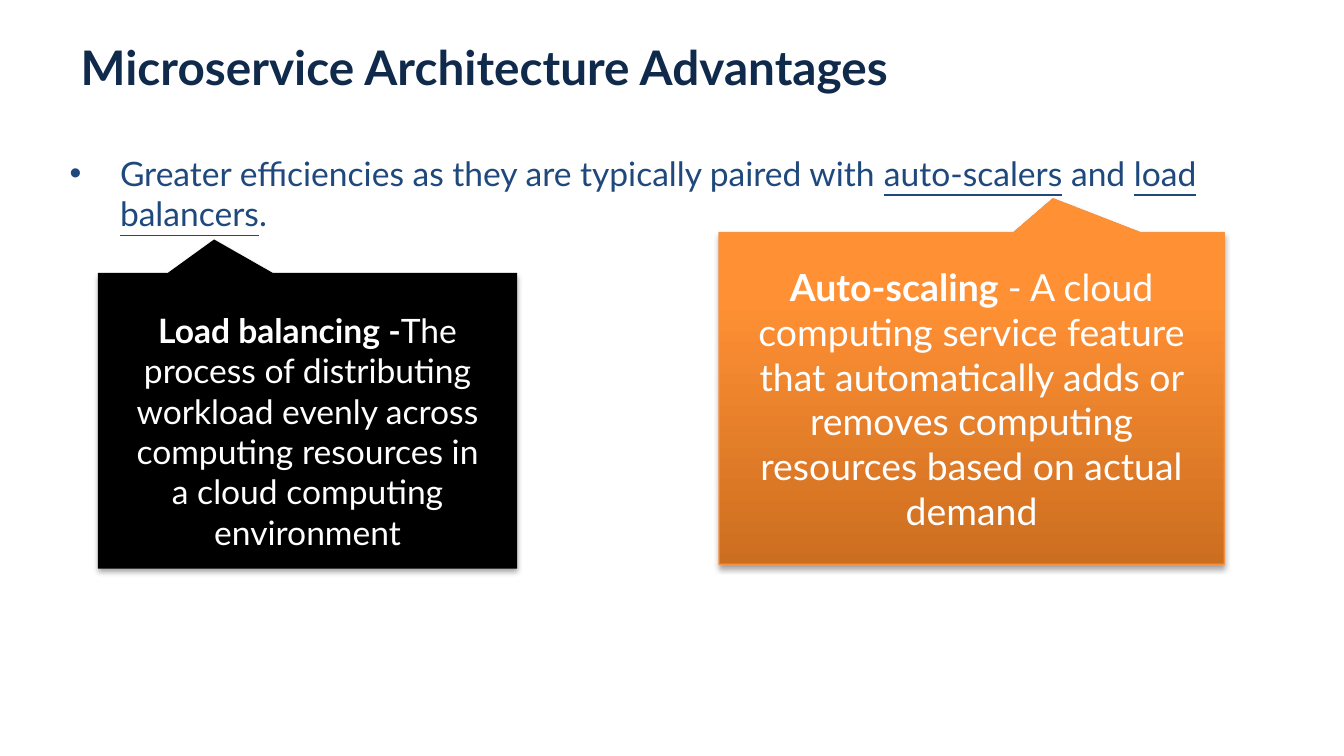
from lxml import etree
from pptx import Presentation
from pptx.dml.color import RGBColor
from pptx.enum import shapes, text
from pptx.oxml import parse_xml
from pptx.oxml.ns import nsdecls, qn
from pptx.util import Pt

FONT = "Lato"
COLORS = {"title": "102A4C", "body": "1F497D", "text": "FFFFFF",
          "black": "000000", "orange_line": "F69240"}
ORANGE_STOPS = [(0, "CC6E20"), (80, "FF9034"), (100, "FF9136")]

TITLE = "Microservice Architecture Advantages"
# Each bullet run: words, underlined
BULLET = [
    ("Greater efficiencies as they are typically paired with ", False),
    ("auto-scalers", True),
    (" and ", False),
    ("load balancers", True),
    (".", False),
]
CALLOUTS = [
    dict(term="Load balancing -",
         meaning="The process of distributing workload evenly across "
                 "computing resources in a cloud computing environment",
         area=(52.5, 146.2, 224.6, 158.4), tip=(-0.223, -0.613), size=18,
         insets=(16.5, 27.4, 16.5, 16.5), gradient=None),
    dict(term="Auto-scaling ",
         meaning="- A cloud computing service feature that automatically adds "
                 "or removes computing resources based on actual demand",
         area=(385.2, 124.6, 270.7, 177.8), tip=(0.161, -0.602), size=20,
         insets=(7.2, 3.6, 7.2, 3.6), gradient=ORANGE_STOPS),
]


def color(name):
    return RGBColor.from_string(COLORS[name])


def add_span(para, words, size, color_name, bold=False, underline=False):
    span = para.add_run()
    span.text = words
    font = span.font
    font.name, font.size, font.bold = FONT, Pt(size), bold
    font.underline = underline
    font.color.rgb = color(color_name)


def set_frame(frame, insets, anchor):
    """Wrap the text and set its left, top, right and bottom insets."""
    frame.word_wrap = True
    frame.auto_size = text.MSO_AUTO_SIZE.NONE
    frame.vertical_anchor = anchor
    (frame.margin_left, frame.margin_top,
     frame.margin_right, frame.margin_bottom) = map(Pt, insets)


def set_gradient(shape, stops):
    """Fill the shape upwards from the first stop to the last."""
    marks = "".join(
        f'<a:gs pos="{position * 1000}"><a:srgbClr val="{value}"/></a:gs>'
        for position, value in stops)
    fill = parse_xml(
        f'<a:gradFill {nsdecls("a")} rotWithShape="1"><a:gsLst>{marks}</a:gsLst>'
        '<a:lin ang="16200000" scaled="0"/></a:gradFill>')
    shape._element.spPr.find(qn("a:prstGeom")).addnext(fill)


def add_shadow(shape):
    shape.shadow.inherit = False
    effects = shape._element.spPr.find(qn("a:effectLst"))
    effects.append(parse_xml(
        f'<a:outerShdw {nsdecls("a")} blurRad="{Pt(3.1)}" dist="{Pt(1.8)}" '
        'dir="5400000" rotWithShape="0"><a:srgbClr val="000000">'
        '<a:alpha val="35000"/></a:srgbClr></a:outerShdw>'))


def add_callout(page, term, meaning, area, tip, size, insets, gradient):
    shape = page.shapes.add_shape(
        shapes.MSO_SHAPE.RECTANGULAR_CALLOUT, *map(Pt, area))
    for index, value in enumerate(tip):
        shape.adjustments[index] = value
    if gradient:
        set_gradient(shape, gradient)
        shape.line.color.rgb = color("orange_line")
        shape.line.width = Pt(0.75)
    else:
        shape.fill.solid()
        shape.fill.fore_color.rgb = color("black")
        shape.line.fill.background()
    add_shadow(shape)
    set_frame(shape.text_frame, insets, text.MSO_ANCHOR.MIDDLE)
    para = shape.text_frame.paragraphs[0]
    para.alignment = text.PP_ALIGN.CENTER
    add_span(para, term, size, "text", bold=True)
    add_span(para, meaning, size, "text")


def add_title(page):
    title = page.shapes.title
    title.left, title.top, title.width, title.height = map(
        Pt, (36, 16.6, 648, 67.7))
    set_frame(title.text_frame, (7.2, 3.6, 7.2, 3.6), text.MSO_ANCHOR.TOP)
    para = title.text_frame.paragraphs[0]
    para.alignment = text.PP_ALIGN.LEFT
    add_span(para, TITLE, 25.5, "title", bold=True)


def add_bullet(page):
    box = page.shapes.add_textbox(*map(Pt, (30.2, 78.5, 661.7, 264.2)))
    set_frame(box.text_frame, (7.2, 3.6, 7.2, 3.6), text.MSO_ANCHOR.TOP)
    para = box.text_frame.paragraphs[0]
    props = para._p.get_or_add_pPr()
    props.set("marL", str(Pt(27)))
    props.set("indent", str(Pt(-27)))
    etree.SubElement(props, qn("a:buFont")).set("typeface", "Arial")
    etree.SubElement(props, qn("a:buChar")).set("char", "•")
    for words, underline in BULLET:
        add_span(para, words, 18, "body", underline=underline)


def main():
    deck = Presentation()
    deck.slide_width, deck.slide_height = Pt(720), Pt(405)
    page = deck.slides.add_slide(deck.slide_layouts[5])
    add_title(page)
    add_bullet(page)
    for callout in CALLOUTS:
        add_callout(page, **callout)
    deck.save("out.pptx")


if __name__ == "__main__":
    main()
